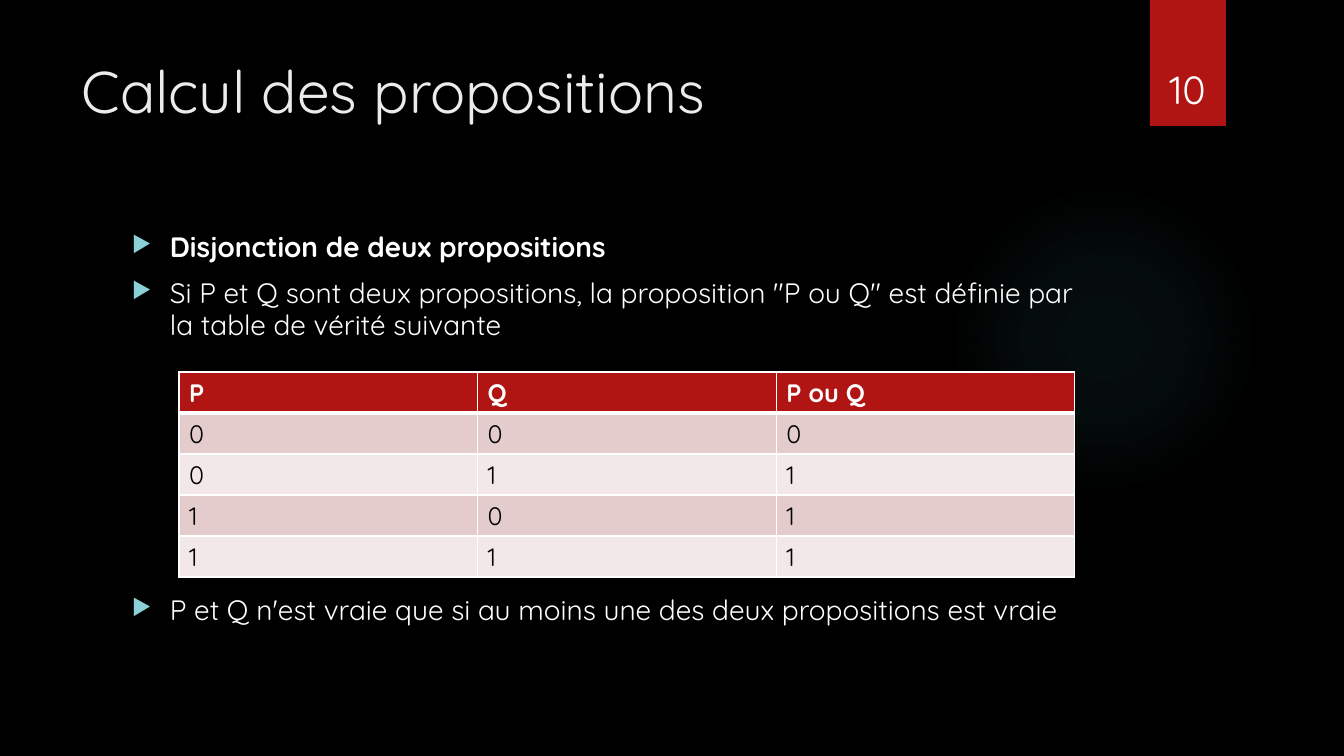
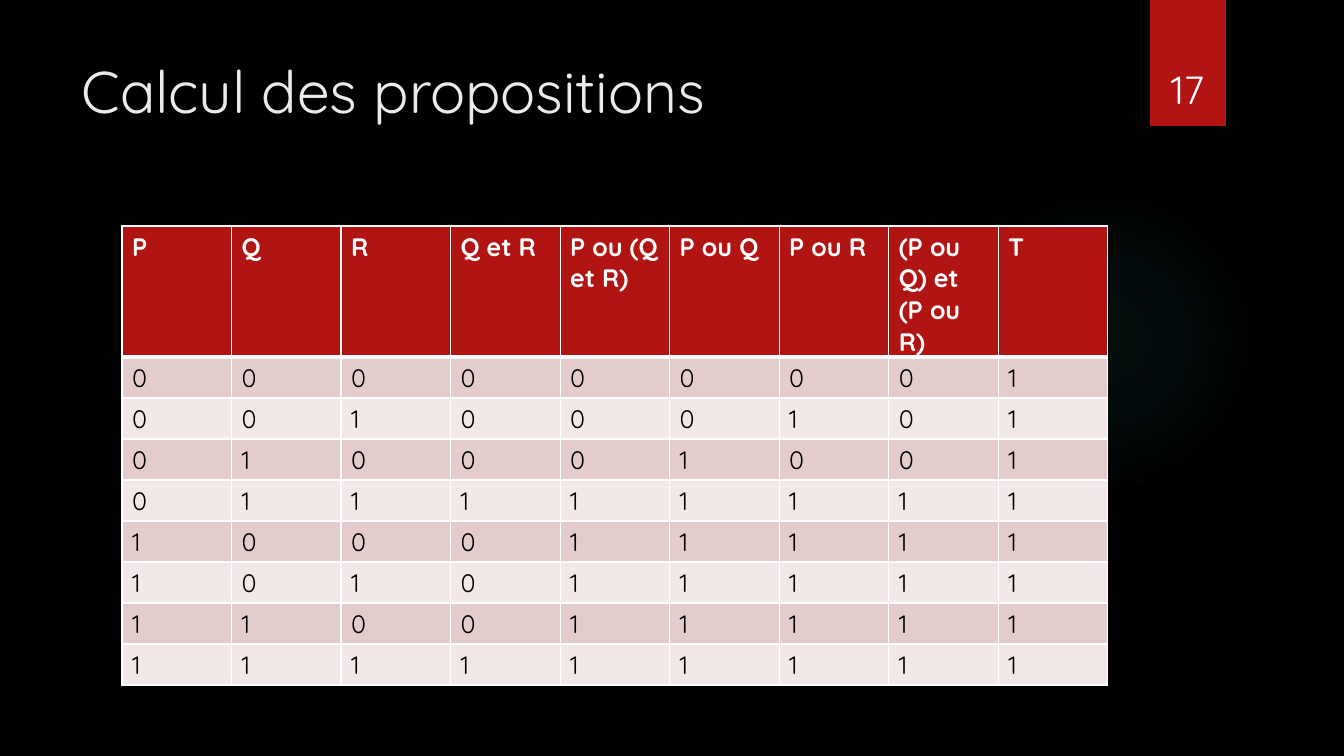
"""Build two truth-table slides on propositional calculus."""
from dataclasses import dataclass
from itertools import product

from lxml.etree import SubElement
from pptx import Presentation
from pptx.dml.color import RGBColor
from pptx.enum.shapes import MSO_SHAPE
from pptx.enum.text import MSO_ANCHOR, PP_ALIGN
from pptx.oxml import parse_xml
from pptx.oxml.ns import nsdecls, qn
from pptx.util import Emu, Pt


@dataclass(frozen=True)
class Theme:
    font: str = "Quicksand"
    background: str = "000000"
    accent: str = "B01513"
    glow: str = "50B9C1"
    bullet: str = "8AD0D6"
    title: str = "EBEBEB"
    light: str = "FFFFFF"
    dark: str = "000000"
    bands: tuple = ("E4CCCC", "F2E8E7")
    title_size: int = 42
    number_size: int = 28
    body_size: int = 20
    table_size: int = 18


T = Theme()


def px(*values):
    return [Emu(round(v * 12192000 / 1344)) for v in values]


def write(tf, text, size, color, bold=False, align=None, before=0, spacing=None, bullet=False):
    tf.word_wrap = True
    p = tf.add_paragraph() if tf.text else tf.paragraphs[0]
    p.alignment = align
    p.space_before, indent = px(before, 38)
    p.line_spacing = spacing
    r = p.add_run()
    r.text = text
    r.font.name, r.font.size, r.font.bold = T.font, Pt(size), bold
    r.font.color.rgb = RGBColor.from_string(color)
    if bullet:
        pPr = p._p.get_or_add_pPr()
        pPr.set("marL", str(indent))
        pPr.set("indent", str(-indent))
        SubElement(SubElement(pPr, qn("a:buClr")), qn("a:srgbClr"), val=T.bullet)
        SubElement(pPr, qn("a:buSzPct"), val="80000")
        SubElement(pPr, qn("a:buChar"), char="▶")


bullets = [
    ("Disjonction de deux propositions", True, 14),
    ('Si P et Q sont deux propositions, la proposition "P ou Q" est définie par '
     "la table de vérité suivante", False, 14),
    ("P et Q n'est vraie que si au moins une des deux propositions est vraie", False, 253),
]
or_table = [["P", "Q", "P ou Q"]]
or_table += [[a, b, a | b] for a, b in product((0, 1), repeat=2)]

law_table = [["P", "Q", "R", "Q et R", "P ou (Q et R)", "P ou Q", "P ou R",
              "(P ou Q) et (P ou R)", "T"]]
for a, b, c in product((0, 1), repeat=3):
    left, right = a | (b & c), (a | b) & (a | c)
    law_table.append([a, b, c, b & c, left, a | b, a | c, right, int(left == right)])

slides = [
    ("10", bullets, or_table, (179, 372, 896), 41),
    ("17", [], law_table, (122, 226, 986), 131),
]

prs = Presentation()
prs.slide_width, prs.slide_height = px(1344, 756)
fill = prs.slide_master.background.fill
fill.solid()
fill.fore_color.rgb = RGBColor.from_string(T.background)

for number, items, rows, (x, y, width), header_height in slides:
    s = prs.slides.add_slide(prs.slide_layouts[6])

    glow = s.shapes.add_shape(MSO_SHAPE.OVAL, *px(949, 184, 310, 310))
    glow.shadow.inherit = False
    glow.line.fill.background()
    glow.fill.background()
    stops = "".join(
        f'<a:gs pos="{pos}000"><a:srgbClr val="{T.glow}"><a:alpha val="{alpha}000"/></a:srgbClr></a:gs>'
        for pos, alpha in ((0, 7), (36, 6), (69, 0), (100, 0)))
    spPr = glow._element.spPr
    spPr.replace(spPr.find(qn("a:noFill")), parse_xml(
        f'<a:gradFill {nsdecls("a")}><a:gsLst>{stops}</a:gsLst><a:path path="circle">'
        '<a:fillToRect l="50000" t="50000" r="50000" b="50000"/></a:path></a:gradFill>'))

    tab = s.shapes.add_shape(MSO_SHAPE.RECTANGLE, *px(1150, 0, 76, 126))
    tab.shadow.inherit = False
    tab.line.fill.background()
    tab.fill.solid()
    tab.fill.fore_color.rgb = RGBColor.from_string(T.accent)

    title = s.shapes.add_textbox(*px(72, 50, 1037, 154))
    write(title.text_frame, "Calcul des propositions", T.title_size, T.title)

    sp = s.shapes.add_textbox(*px(1141, 32, 93, 85))
    sp.text_frame.vertical_anchor = MSO_ANCHOR.BOTTOM
    write(sp.text_frame, number, T.number_size, T.light, align=PP_ALIGN.CENTER)

    if items:
        body = s.shapes.add_textbox(*px(122, 227, 986, 463))
        for text, bold, before in items:
            write(body.text_frame, text, T.body_size, T.light, bold=bold,
                  before=before, spacing=0.95, bullet=True)

    height = header_height + 41 * (len(rows) - 1)
    table = s.shapes.add_table(len(rows), len(rows[0]), *px(x, y, width, height)).table
    table.horz_banding = False
    for i, row in enumerate(rows):
        header = i == 0
        table.rows[i].height = px(header_height if header else 41)[0]
        edges = {"lnL": 1, "lnR": 1, "lnT": 3 if i == 1 else 1, "lnB": 3 if header else 1}
        for j, value in enumerate(row):
            cell = table.cell(i, j)
            write(cell.text_frame, str(value), T.table_size,
                  T.light if header else T.dark, bold=header)
            cell.fill.solid()
            cell.fill.fore_color.rgb = RGBColor.from_string(
                T.accent if header else T.bands[(i - 1) % 2])
            tcPr = cell._tc.get_or_add_tcPr()
            for k, (edge, points) in enumerate(edges.items()):
                tcPr.insert(k, parse_xml(
                    f'<a:{edge} {nsdecls("a")} w="{Pt(points)}"><a:solidFill>'
                    f'<a:srgbClr val="{T.light}"/></a:solidFill></a:{edge}>'))

prs.save("out.pptx")
